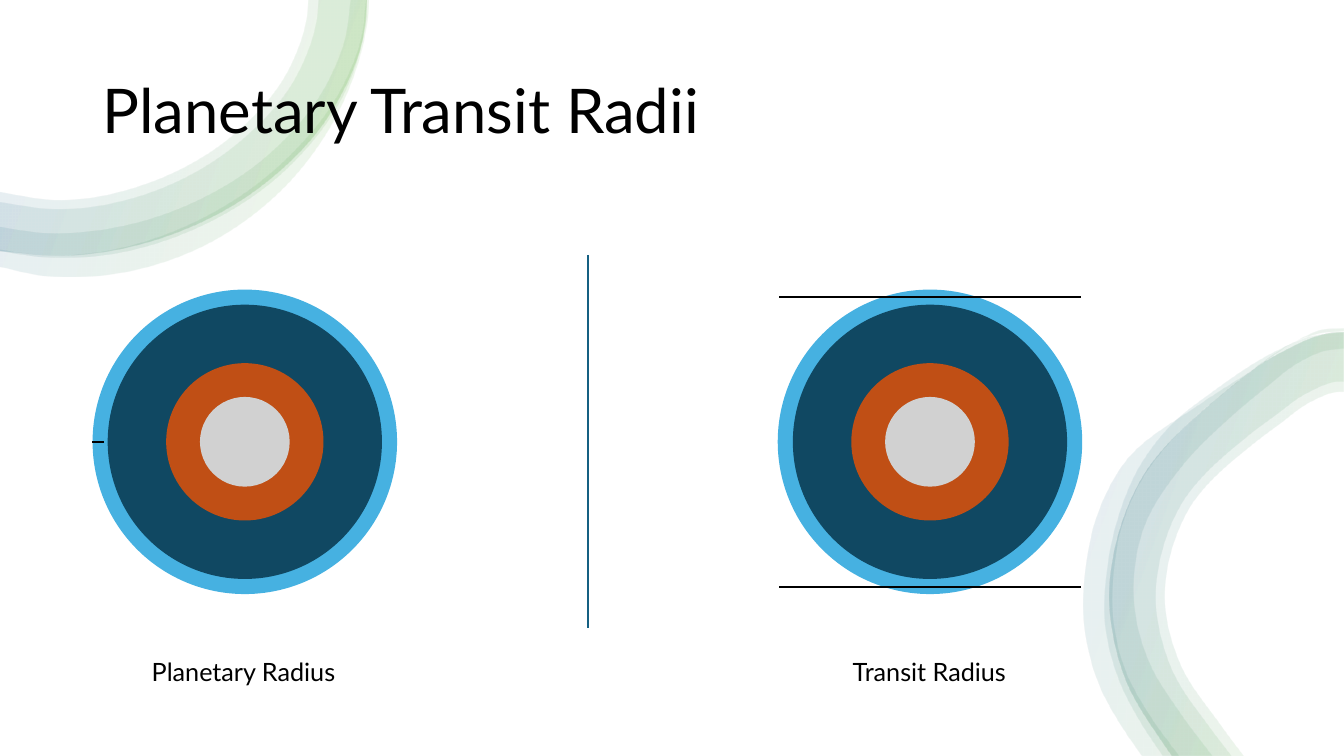
from math import dist

from lxml import etree
from pptx import Presentation
from pptx.dml.color import RGBColor
from pptx.enum.shapes import MSO_CONNECTOR, MSO_SHAPE
from pptx.enum.text import MSO_ANCHOR, MSO_AUTO_SIZE, PP_ALIGN
from pptx.oxml.ns import qn
from pptx.util import Pt

ELLIPSE = MSO_SHAPE.OVAL
STRAIGHT = MSO_CONNECTOR.STRAIGHT
MIDDLE = MSO_ANCHOR.MIDDLE
LEFT = PP_ALIGN.LEFT
NO_AUTOSIZE = MSO_AUTO_SIZE.NONE

THEME = {
    "font": "Lato",
    "title": 44,
    "label": 18,
    "line": 1.5,
    "ink": "000000",
    "divider": "156082",
    "layers": [(216, "46B1E1"), (194.4, "104862"), (110.9, "C04F15"), (62.6, "D1D1D1")],
    "ribbon": [(2, "FFFFFF"), (16, "4EA72E"), (85, "156082"), (100, "FFFFFF")],
    "ribbon_alpha": 10,
    "ribbon_angle": 200,
}


def bend(knots, lines):
    slopes = []
    for a, b, c in zip([knots[0], *knots], knots, [*knots[1:], knots[-1]]):
        before, after = dist(a, b), dist(b, c)
        slopes.append([
            ((q - p) / (before or 1) * (after or 1) + (r - q) / (after or 1) * (before or 1))
            / (before + after) * (1 if before and after else (before + after))
            for p, q, r in zip(a, b, c)])
    for i, line in enumerate(lines):
        a, b = knots[i], knots[i + 1]
        third = dist(a, b) / 3
        start = [p + m * third for p, m in zip(a, slopes[i])]
        end = [p - m * third for p, m in zip(b, slopes[i + 1])]
        line.tag = qn("a:cubicBezTo")
        for index, (x, y) in enumerate([start, end]):
            line.insert(index, etree.Element(qn("a:pt"), x=str(round(x)), y=str(round(y))))


def add_line(s, x1, y1, x2, y2, color):
    cx = s.shapes.add_connector(STRAIGHT, Pt(x1), Pt(y1), Pt(x2), Pt(y2))
    cx.line.color.rgb = RGBColor.from_string(color)
    cx.line.width = Pt(THEME["line"])
    etree.SubElement(cx.element.spPr, qn("a:effectLst"))


prs = Presentation()
prs.slide_width, prs.slide_height = Pt(960), Pt(540)
s = prs.slides.add_slide(prs.slide_layouts[5])

RIBBON_UNIT = Pt(0.72)
FINE = 10
top_edge = [(364, 0), (363, 20), (328, 112), (257, 186), (162, 235), (56, 253), (0, 248)]
bottom_edge = [(1333, 330), (1327, 330), (1267, 352), (1213, 391), (1131, 478), (1101, 598),
               (1117, 674), (1154, 737), (1163, 750)]
ribbons = [
    (top_edge,
     [(0, 190), (56, 198), (148, 181), (230, 135), (286, 70), (305, 13), (306, 0)]),
    (top_edge,
     [(0, 200), (56, 207), (151, 190), (236, 142), (295, 74), (315, 14), (316, 0)]),
    ([(364, 0), (359, 43), (343, 90), (282, 170), (196, 226), (96, 254), (44, 255), (0, 249)],
     [(0, 225), (45, 231), (93, 229), (185, 204), (266, 154), (325, 82), (342, 40), (348, 0)]),
    ([(366, 0), (365, 14), (346, 88), (291, 176), (205, 242), (99, 273), (43, 273), (0, 264)],
     [(0, 247), (45, 253), (96, 250), (193, 220), (277, 164), (340, 85), (358, 38), (363, 0)]),
    ([(1333, 326), (1309, 328), (1285, 339), (1243, 367), (1192, 400), (1115, 460),
      (1089, 510), (1077, 565), (1076, 622), (1090, 678), (1117, 727), (1133, 750)],
     [(1170, 750), (1141, 710), (1117, 666), (1105, 618), (1105, 568), (1114, 519),
      (1134, 474), (1165, 434), (1223, 383), (1263, 352), (1285, 339), (1309, 331),
      (1333, 329)]),
    ([(1333, 330), (1300, 334), (1265, 349), (1203, 389), (1163, 421), (1131, 463),
      (1110, 513), (1099, 565), (1097, 619), (1110, 673), (1134, 720), (1154, 750)],
     [(1203, 750), (1171, 707), (1141, 658), (1126, 601), (1136, 522), (1172, 464),
      (1220, 415), (1258, 383), (1285, 362), (1316, 348), (1333, 346)]),
    (bottom_edge,
     [(1222, 750), (1203, 725), (1162, 662), (1147, 598), (1169, 506), (1239, 432),
      (1263, 414), (1297, 390), (1327, 379), (1333, 379)]),
    (bottom_edge,
     [(1234, 750), (1211, 719), (1170, 656), (1156, 598), (1178, 508), (1244, 440),
      (1268, 422), (1300, 399), (1328, 389), (1333, 389)]),
]
for outer, inner in ribbons:
    outline = [(x * FINE, y * FINE) for x, y in outer + inner]
    fb = s.shapes.build_freeform(*outline[0], scale=RIBBON_UNIT / FINE)
    fb.add_line_segments(outline[1:], close=True)
    sp = fb.convert_to_shape()
    sp.shadow.inherit = False
    sp.line.fill.background()
    sp.fill.background()
    spPr = sp.element.spPr
    knots = [(int(pt.get("x")), int(pt.get("y"))) for pt in spPr.iter(qn("a:pt"))]
    lines = list(spPr.iter(qn("a:lnTo")))
    n = len(outer)
    bend(knots[:n], lines[:n - 1])
    bend(knots[n:n + len(inner)], lines[n:n + len(inner) - 1])
    grad = etree.Element(qn("a:gradFill"), rotWithShape="1")
    stops = etree.SubElement(grad, qn("a:gsLst"))
    for pos, color in THEME["ribbon"]:
        gs = etree.SubElement(stops, qn("a:gs"), pos=str(pos * 1000))
        clr = etree.SubElement(gs, qn("a:srgbClr"), val=color)
        etree.SubElement(clr, qn("a:alpha"), val=str(THEME["ribbon_alpha"] * 1000))
    etree.SubElement(grad, qn("a:lin"), ang=str(THEME["ribbon_angle"] * 60000), scaled="0")
    spPr.replace(spPr.find(qn("a:noFill")), grad)

title = s.shapes.title
s.shapes.element.append(title.element)
title.left, title.top, title.width, title.height = Pt(66), Pt(28.75), Pt(828), Pt(104.4)

PLANET_Y = 315.6
LEFT_X, RIGHT_X = 174.9, 664.3
for x in (RIGHT_X, LEFT_X):
    for size, color in THEME["layers"]:
        sp = s.shapes.add_shape(ELLIPSE, Pt(x - size / 2), Pt(PLANET_Y - size / 2),
                                Pt(size), Pt(size))
        sp.shadow.inherit = False
        sp.fill.solid()
        sp.fill.fore_color.rgb = sp.line.color.rgb = RGBColor.from_string(color)
        sp.line.width = Pt(THEME["line"])

for y in (212.2, 419.5):
    add_line(s, 556.7, y, 772.2, y, THEME["ink"])
add_line(s, 66, 315.75, 74.5, 315.75, THEME["ink"])
add_line(s, 420, 182, 420, 448.5, THEME["divider"])

left_label = s.shapes.add_textbox(Pt(101.3), Pt(465), Pt(147), Pt(29))
right_label = s.shapes.add_textbox(Pt(602), Pt(465), Pt(124.5), Pt(29))
texts = [
    (title, "Planetary Transit Radii", THEME["title"],
     {"word_wrap": True, "vertical_anchor": MIDDLE, "auto_size": NO_AUTOSIZE},
     {"alignment": LEFT, "line_spacing": 0.9}),
    (left_label, "Planetary Radius", THEME["label"], {"word_wrap": False}, {"alignment": LEFT}),
    (right_label, "Transit Radius", THEME["label"], {"word_wrap": False}, {"alignment": LEFT}),
]
for sp, text, size, frame_format, paragraph_format in texts:
    tf = sp.text_frame
    p = tf.paragraphs[0]
    r = p.add_run()
    r.text = text
    r.font.color.rgb = RGBColor.from_string(THEME["ink"])
    font_format = {"name": THEME["font"], "size": Pt(size)}
    for target, values in [(tf, frame_format), (p, paragraph_format), (r.font, font_format)]:
        for name, value in values.items():
            setattr(target, name, value)

prs.save("out.pptx")
